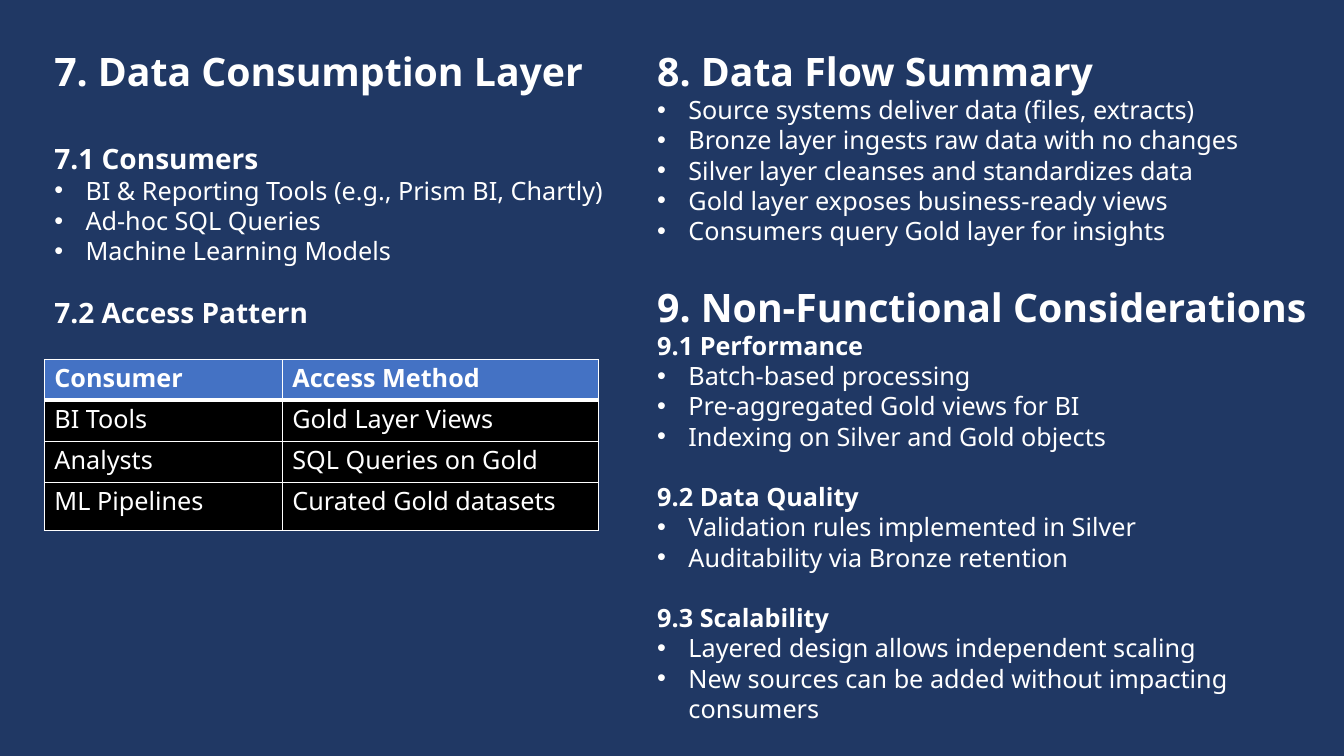
import pptx
import pptx.dml.color
import pptx.enum.text
import pptx.oxml
import pptx.oxml.ns
import pptx.util

Inches = pptx.util.Inches
Pt = pptx.util.Pt

COLORS = {"navy": "203864", "white": "FFFFFF", "blue": "4472C4", "black": "000000"}
FORMATS = {
    "title": {"size": Pt(28), "bold": True},
    "section": {"size": Pt(20), "bold": True},
    "topic": {"size": Pt(18), "bold": True},
    "bullet": {"size": Pt(18), "bold": False},
    "cell": {"size": Pt(18), "bold": False},
}
LINE_RATIO = 1.2

CONSUMPTION = [
    ("title", "7. Data Consumption Layer", 0),
    ("section", "7.1 Consumers", 28),
    ("bullet", "BI & Reporting Tools (e.g., Prism BI, Chartly)", 0),
    ("bullet", "Ad-hoc SQL Queries", 0),
    ("bullet", "Machine Learning Models", 0),
    ("section", "7.2 Access Pattern", 18),
]
DATA_FLOW = [
    ("title", "8. Data Flow Summary", 0),
    ("bullet", "Source systems deliver data (files, extracts)", 0),
    ("bullet", "Bronze layer ingests raw data with no changes", 0),
    ("bullet", "Silver layer cleanses and standardizes data", 0),
    ("bullet", "Gold layer exposes business-ready views", 0),
    ("bullet", "Consumers query Gold layer for insights", 0),
]
CONSIDERATIONS = [
    ("title", "9. Non-Functional Considerations", 0),
    ("topic", "9.1 Performance", 0),
    ("bullet", "Batch-based processing", 0),
    ("bullet", "Pre-aggregated Gold views for BI", 0),
    ("bullet", "Indexing on Silver and Gold objects", 0),
    ("topic", "9.2 Data Quality", 18),
    ("bullet", "Validation rules implemented in Silver", 0),
    ("bullet", "Auditability via Bronze retention", 0),
    ("topic", "9.3 Scalability", 18),
    ("bullet", "Layered design allows independent scaling", 0),
    ("bullet", "New sources can be added without impacting consumers", 0),
]
ACCESS_METHODS = [
    ("Consumer", "Access Method"),
    ("BI Tools", "Gold Layer Views"),
    ("Analysts", "SQL Queries on Gold"),
    ("ML Pipelines", "Curated Gold datasets"),
]


def color(name):
    return pptx.dml.color.RGBColor.from_string(COLORS[name])


class SlideBuilder:
    def __init__(self, page, font_name):
        self.page = page
        self.font_name = font_name

    def background(self, name):
        fill = self.page.background.fill
        fill.solid()
        fill.fore_color.rgb = color(name)

    def line(self, para, kind, text, gap=0):
        span = para.add_run()
        span.text = text
        for key, value in {"name": self.font_name, **FORMATS[kind]}.items():
            setattr(span.font, key, value)
        span.font.color.rgb = color("white")
        para.line_spacing = Pt(span.font.size.pt * LINE_RATIO)
        para.space_before = Pt(gap * LINE_RATIO)
        if kind == "bullet":
            self.bullet(para)

    def bullet(self, para):
        properties = para._p.get_or_add_pPr()
        properties.set("marL", str(Inches(0.31)))
        properties.set("indent", str(-Inches(0.31)))
        namespace = pptx.oxml.ns.nsdecls("a")
        for xml in (f'<a:buFont {namespace} typeface="Arial"/>', f'<a:buChar {namespace} char="•"/>'):
            properties.append(pptx.oxml.parse_xml(xml))

    def text(self, left, top, width, height, lines):
        box = self.page.shapes.add_textbox(Inches(left), Inches(top), Inches(width), Inches(height))
        frame = box.text_frame
        settings = {
            "word_wrap": True,
            "auto_size": pptx.enum.text.MSO_AUTO_SIZE.NONE,
            "vertical_anchor": pptx.enum.text.MSO_ANCHOR.TOP,
        }
        for key, value in settings.items():
            setattr(frame, key, value)
        for index, (kind, text, gap) in enumerate(lines):
            para = frame.add_paragraph() if index else frame.paragraphs[0]
            self.line(para, kind, text, gap)

    def border(self, cell, side, points):
        cell._tc.get_or_add_tcPr().append(pptx.oxml.parse_xml(
            f'<a:ln{side} {pptx.oxml.ns.nsdecls("a")} w="{Pt(points)}">'
            f'<a:solidFill><a:srgbClr val="{COLORS["white"]}"/></a:solidFill></a:ln{side}>'))

    def table(self, left, top, widths, heights, rows):
        table = self.page.shapes.add_table(
            len(rows), len(widths), Inches(left), Inches(top),
            Inches(sum(widths)), Inches(sum(heights))).table
        for column, width in zip(table.columns, widths):
            column.width = Inches(width)
        for row_index, (row, height) in enumerate(zip(table.rows, heights)):
            row.height = Inches(height)
            header = row_index == 0
            for cell, text in zip(row.cells, rows[row_index]):
                for side in "LRTB":
                    thick = (header and side == "B") or (row_index == 1 and side == "T")
                    self.border(cell, side, 3 if thick else 1)
                cell.fill.solid()
                cell.fill.fore_color.rgb = color("blue" if header else "black")
                self.line(cell.text_frame.paragraphs[0], "topic" if header else "cell", text)


def main():
    deck = pptx.Presentation()
    deck.slide_width = Inches(13.33)
    deck.slide_height = Inches(7.5)
    builder = SlideBuilder(deck.slides.add_slide(deck.slide_layouts[6]), "Noto Sans")
    builder.background("navy")
    builder.text(0.44, 0.42, 6.66, 3.53, CONSUMPTION)
    builder.table(0.44, 3.57, [2.36, 3.14], [0.4, 0.41, 0.41, 0.47], ACCESS_METHODS)
    builder.text(6.42, 0.42, 6.1, 2.09, DATA_FLOW)
    builder.text(6.42, 2.76, 7.03, 4.21, CONSIDERATIONS)
    deck.save("out.pptx")


if __name__ == "__main__":
    main()
